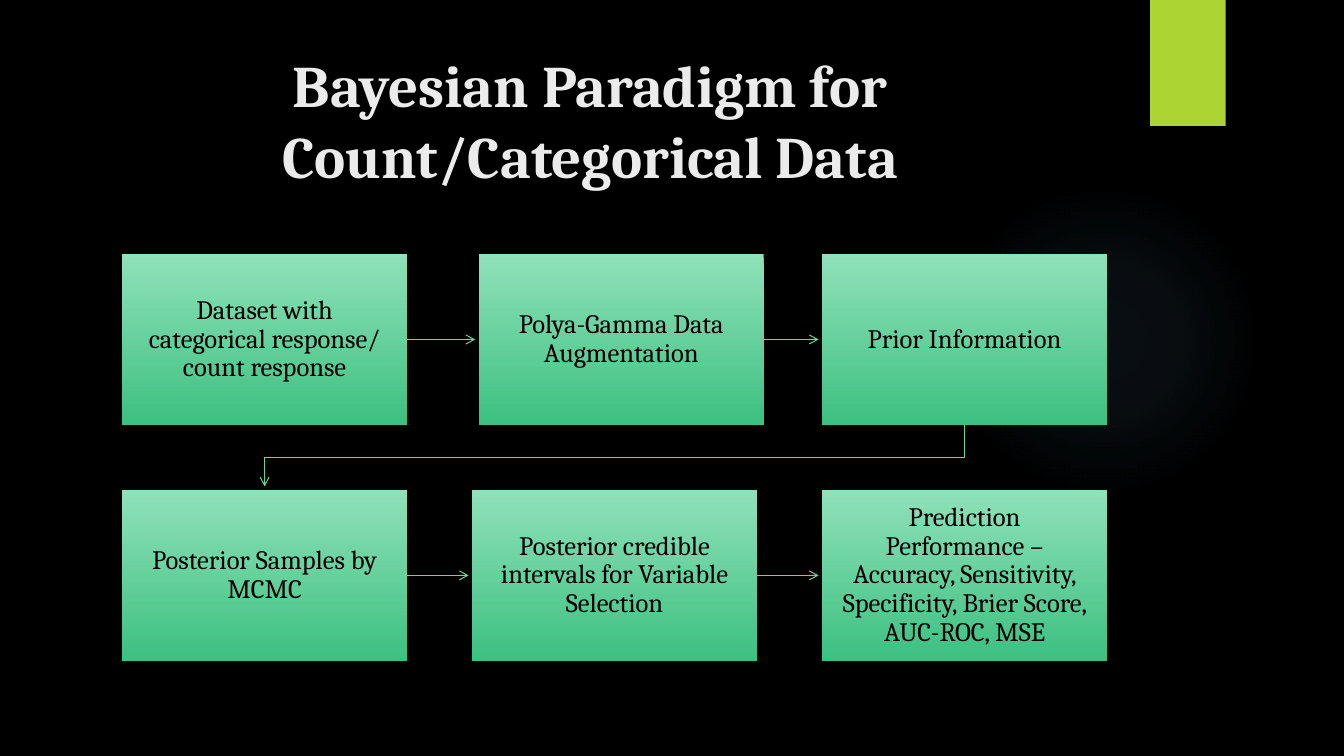
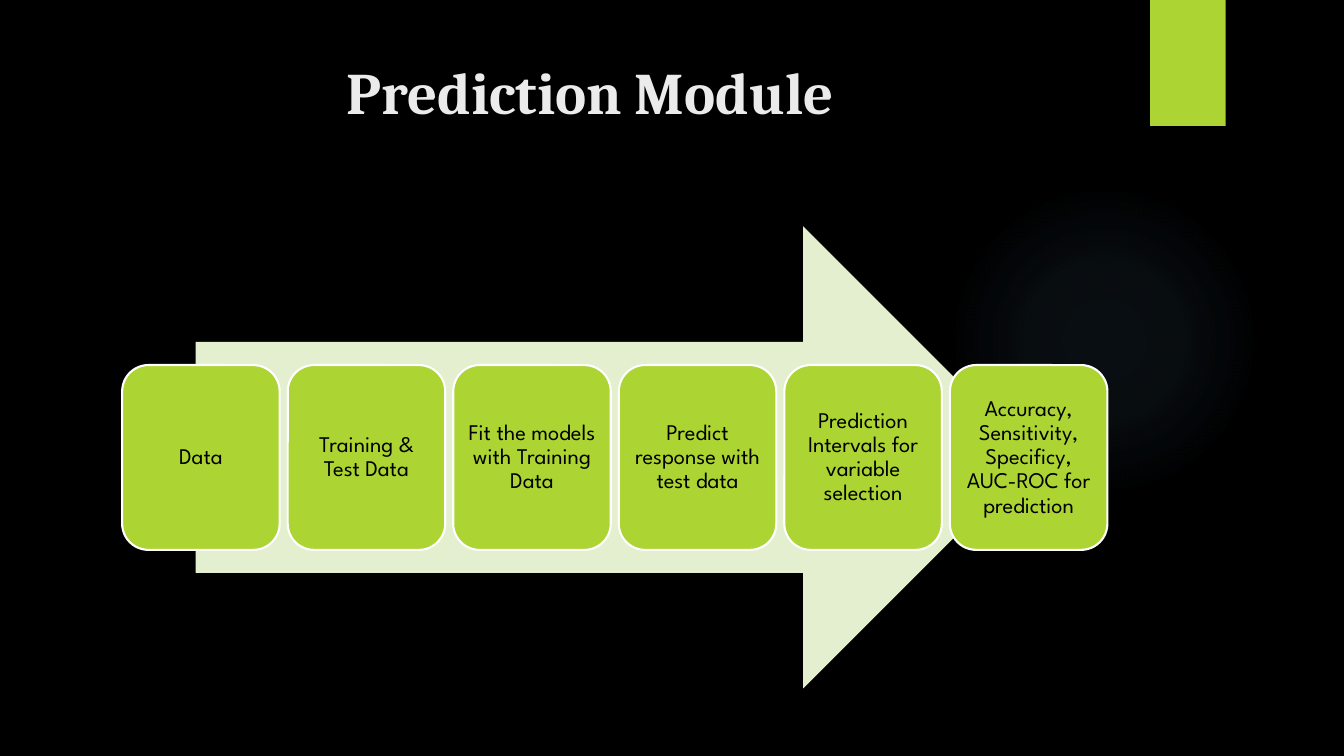
from dataclasses import dataclass
from itertools import pairwise

from lxml import etree
from pptx import Presentation
from pptx.dml.color import RGBColor
from pptx.enum.shapes import MSO_CONNECTOR, MSO_SHAPE
from pptx.enum.text import MSO_ANCHOR, MSO_AUTO_SIZE, PP_ALIGN
from pptx.oxml import parse_xml
from pptx.oxml.ns import nsdecls, qn
from pptx.util import Pt

RECT, ROUNDED = MSO_SHAPE.RECTANGLE, MSO_SHAPE.ROUNDED_RECTANGLE
OVAL, BLOCK_ARROW = MSO_SHAPE.OVAL, MSO_SHAPE.RIGHT_ARROW
STRAIGHT = MSO_CONNECTOR.STRAIGHT
TOP, MIDDLE = MSO_ANCHOR.TOP, MSO_ANCHOR.MIDDLE
CENTER = PP_ALIGN.CENTER
NO_AUTOFIT = MSO_AUTO_SIZE.NONE
TITLE_ONLY = 5


@dataclass(frozen=True)
class Theme:
    background: str = "000000"
    title: str = "EBEBEB"
    text: str = "000000"
    lime: str = "ACD433"
    pale_lime: str = "E3EFCE"
    card_edge: str = "FFFFFF"
    glow: str = "7AC4F0"
    box_top: str = "8FE1B9"
    box_bottom: str = "3DC081"
    flow_line: str = "65D6A0"
    serif: str = "Cambria"
    sans: str = "League Spartan"
    title_size: int = 42
    box_size: int = 19
    card_size: int = 16


def rgb(color):
    return RGBColor.from_string(color)


class Deck:
    def __init__(self, theme):
        self.theme = theme
        self.prs = Presentation()
        self.prs.slide_width, self.prs.slide_height = Pt(960), Pt(540)
        backdrop = self.prs.slide_master.background.fill
        backdrop.solid()
        backdrop.fore_color.rgb = rgb(theme.background)
        self.slide = None

    def new_slide(self, title, title_top):
        self.slide = self.prs.slides.add_slide(self.prs.slide_layouts[TITLE_ONLY])
        self.glow()
        self.shape(RECT, 821.5, 0, 54, 90, self.theme.lime)
        heading = self.slide.shapes.title
        heading.left, heading.top = Pt(51), Pt(title_top)
        heading.width, heading.height = Pt(741), Pt(110)
        heading.text_frame.auto_size = NO_AUTOFIT
        self.set_text(heading, title, self.theme.serif, self.theme.title_size,
                      self.theme.title, anchor=TOP, bold=True)

    def set_text(self, shape, text, font, size, color, anchor=MIDDLE, bold=False):
        frame = shape.text_frame
        frame.word_wrap = True
        frame.vertical_anchor = anchor
        frame.text = text
        paragraph = frame.paragraphs[0]
        paragraph.alignment = CENTER
        paragraph.font.name, paragraph.font.size = font, Pt(size)
        paragraph.font.bold = bold
        paragraph.font.color.rgb = rgb(color)

    def label(self, shape, text, font, size, inset):
        """Put a tightly spaced caption inside a shape."""
        self.set_text(shape, text, font, size, self.theme.text)
        frame = shape.text_frame
        frame.margin_left = frame.margin_right = Pt(inset)
        frame.margin_top = frame.margin_bottom = Pt(inset)
        frame.paragraphs[0].line_spacing = 0.9

    def shape(self, kind, left, top, width, height, fill):
        shape = self.slide.shapes.add_shape(
            kind, Pt(left), Pt(top), Pt(width), Pt(height))
        shape.shadow.inherit = False
        shape.fill.solid()
        shape.fill.fore_color.rgb = rgb(fill)
        shape.line.fill.background()
        return shape

    def glow(self):
        """Add the faint round light that fades out at the right."""
        light = self.shape(OVAL, 677.5, 132, 222, 222, self.theme.glow)
        stops = "".join(
            f'<a:gs pos="{position}000"><a:srgbClr val="{self.theme.glow}">'
            f'<a:alpha val="{opacity}000"/></a:srgbClr></a:gs>'
            for position, opacity in ((0, 7), (36, 6), (69, 0)))
        gradient = parse_xml(
            f'<a:gradFill {nsdecls("a")} rotWithShape="1"><a:gsLst>{stops}</a:gsLst>'
            '<a:path path="circle"><a:fillToRect l="50000" t="50000" r="50000"'
            ' b="50000"/></a:path></a:gradFill>')
        properties = light.element.spPr
        properties.replace(properties.find(qn("a:solidFill")), gradient)

    def step_box(self, left, top, width, height, text):
        box = self.shape(RECT, left, top, width, height, self.theme.box_top)
        box.fill.gradient()
        box.fill.gradient_angle = 270
        shades = (self.theme.box_top, self.theme.box_bottom)
        for stop, shade in zip(box.fill.gradient_stops, shades):
            stop.color.rgb = rgb(shade)
        self.label(box, text, self.theme.serif, self.theme.box_size, 10.8)

    def card(self, left, top, width, height, text):
        card = self.shape(ROUNDED, left, top, width, height, self.theme.lime)
        card.line.color.rgb = rgb(self.theme.card_edge)
        card.line.width = Pt(1.5)
        self.label(card, text, self.theme.sans, self.theme.card_size, 5)

    def flow_style(self, link):
        """Give a line the flow colour, an open arrowhead and no shadow."""
        link.line.color.rgb = rgb(self.theme.flow_line)
        link.line.width = Pt(0.75)
        properties = link.element.spPr
        etree.SubElement(properties.find(qn("a:ln")), qn("a:tailEnd"), type="arrow")
        if properties.find(qn("a:effectLst")) is None:
            etree.SubElement(properties, qn("a:effectLst"))

    def arrow(self, x1, x2, y):
        self.flow_style(self.slide.shapes.add_connector(
            STRAIGHT, Pt(x1), Pt(y), Pt(x2), Pt(y)))

    def bent_arrow(self, points):
        start, *rest = [(Pt(x), Pt(y)) for x, y in points]
        builder = self.slide.shapes.build_freeform(*start)
        builder.add_line_segments(rest, close=False)
        route = builder.convert_to_shape()
        route.shadow.inherit = False
        route.fill.background()
        self.flow_style(route)


def paradigm_slide(deck):
    deck.new_slide("Bayesian Paradigm for Count/Categorical Data", 31.5)
    width, height, tip_gap = 203.5, 122, 2.5
    first, last = 87.25, 587.25
    upper, lower = 181.5, 350
    rows = (
        (upper, (first, 342, last),
         ("Dataset with categorical response/ count response",
          "Polya-Gamma Data Augmentation",
          "Prior Information")),
        (lower, (first, 337.25, last),
         ("Posterior Samples by MCMC",
          "Posterior credible intervals for Variable Selection",
          "Prediction Performance – Accuracy, Sensitivity, Specificity, "
          "Brier Score, AUC-ROC, MSE")),
    )
    for top, lefts, steps in rows:
        for left, step in zip(lefts, steps):
            deck.step_box(left, top, width, height, step)
        for left, following in pairwise(lefts):
            deck.arrow(left + width, following - tip_gap, top + height / 2)

    upper_end = upper + height
    turn = (upper_end + lower) / 2
    start_x, end_x = last + width / 2, first + width / 2
    deck.bent_arrow([(start_x, upper_end), (start_x, turn),
                     (end_x, turn), (end_x, lower - tip_gap)])


def prediction_slide(deck):
    deck.new_slide("Prediction Module", 36)
    deck.shape(BLOCK_ARROW, 139.75, 161.75, 599, 330, deck.theme.pale_lime)
    stages = (
        "Data",
        "Training & Test Data",
        "Fit the models with Training Data",
        "Predict response with test data",
        "Prediction Intervals for variable selection",
        "Accuracy, Sensitivity, Specificy, AUC-ROC for prediction",
    )
    for index, stage in enumerate(stages):
        deck.card(87.25 + index * 118.25, 260.75, 112.5, 132, stage)


def main():
    deck = Deck(Theme())
    paradigm_slide(deck)
    prediction_slide(deck)
    deck.prs.save("out.pptx")


if __name__ == "__main__":
    main()
